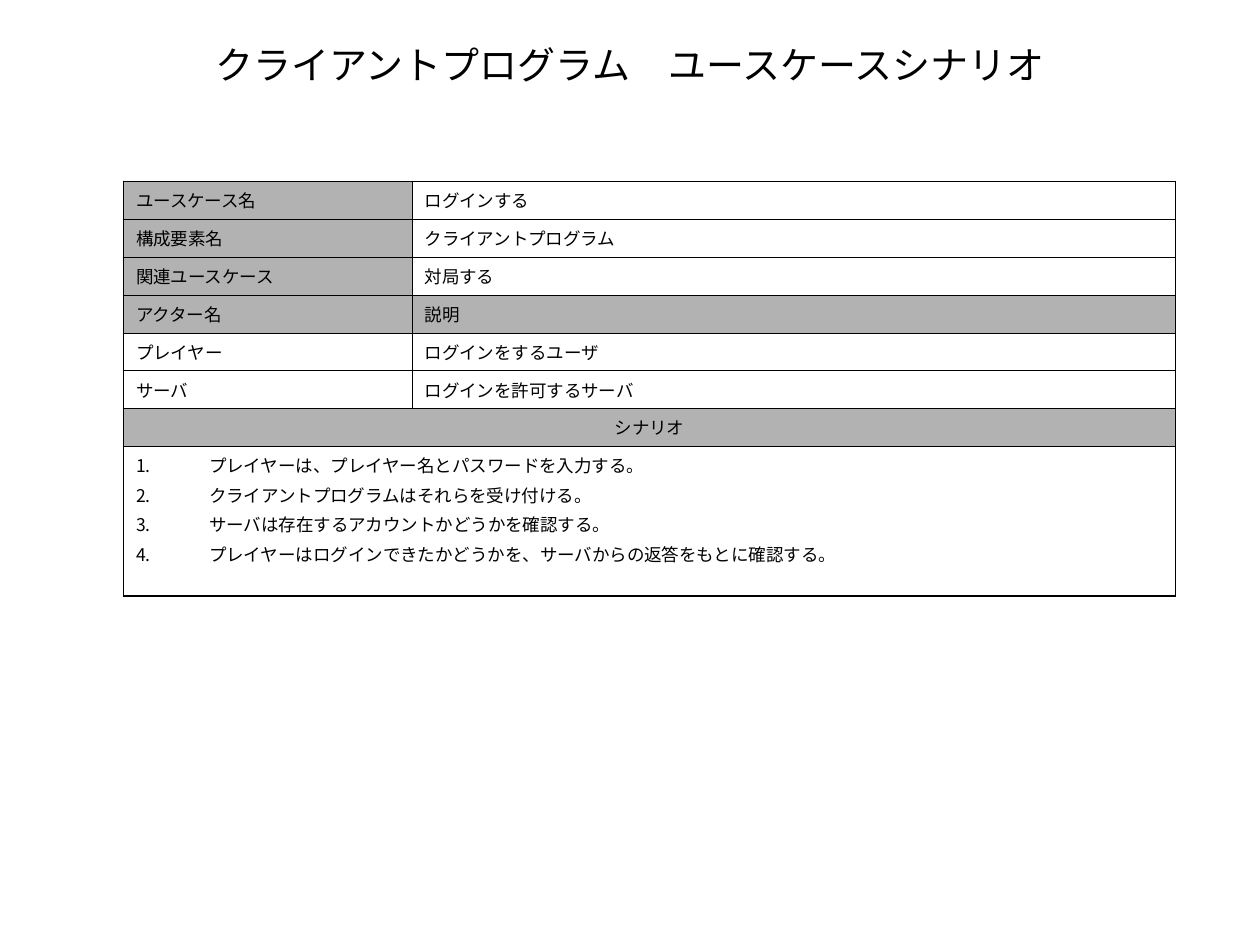
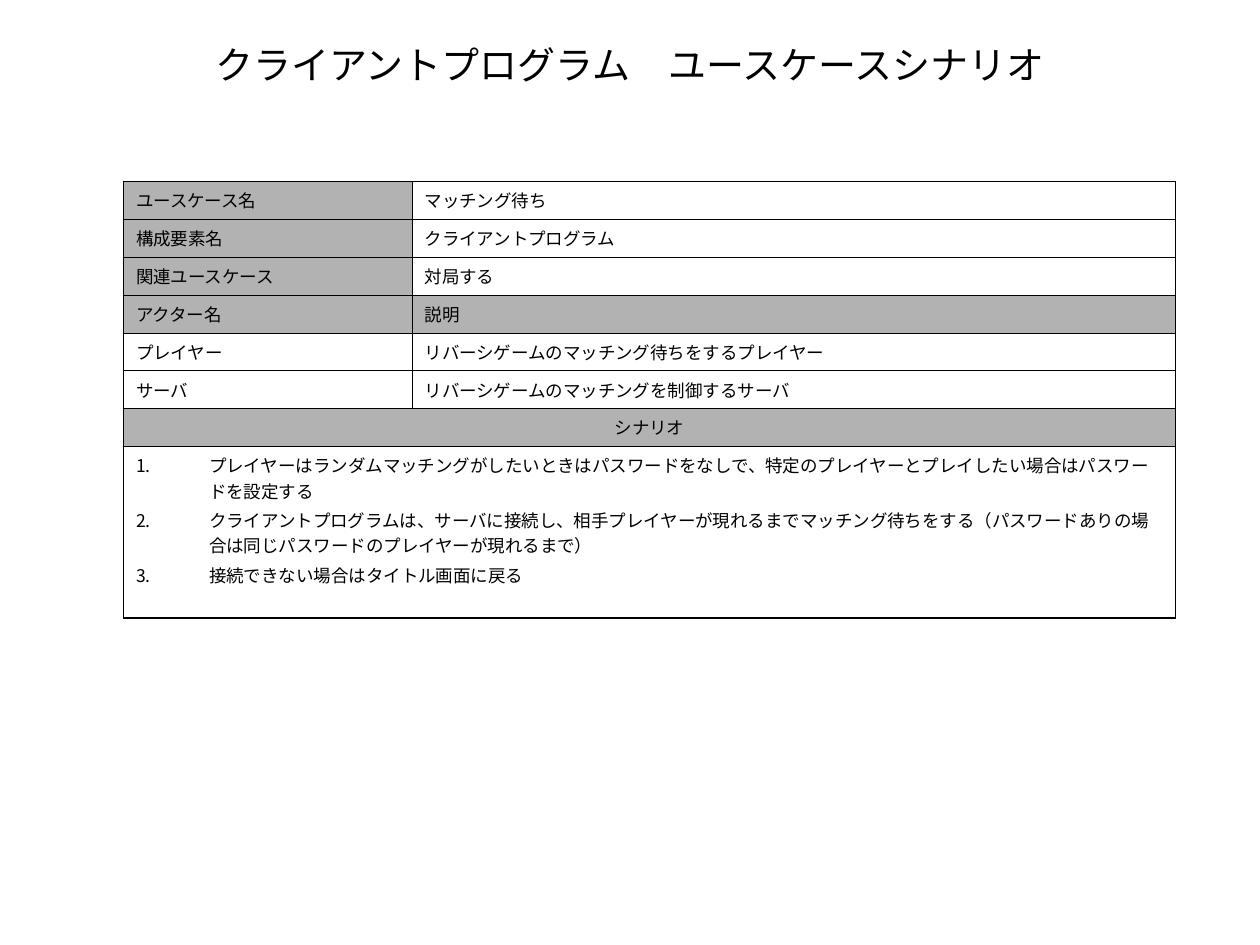
from lxml import etree
from pptx import Presentation
from pptx import util as u
from pptx.dml.color import RGBColor
from pptx.enum import lang, text
from pptx.oxml import ns

BLACK = RGBColor(0x00, 0x00, 0x00)
GRAY = RGBColor(0xB2, 0xB2, 0xB2)
FONT = "Times New Roman"
THICK, THIN = u.Pt(1.08), u.Pt(0.45)
ROW_HEIGHT = 0.3
TITLE = "クライアントプログラム　ユースケースシナリオ"

USE_CASES = [
    {
        "name": "ログインする",
        "player": "ログインをするユーザ",
        "server": "ログインを許可するサーバ",
        "steps_height": 1.19,
        "steps": [
            "プレイヤーは、プレイヤー名とパスワードを入力する。",
            "クライアントプログラムはそれらを受け付ける。",
            "サーバは存在するアカウントかどうかを確認する。",
            "プレイヤーはログインできたかどうかを、サーバからの返答をもとに確認する。",
        ],
    },
    {
        "name": "マッチング待ち",
        "player": "リバーシゲームのマッチング待ちをするプレイヤー",
        "server": "リバーシゲームのマッチングを制御するサーバ",
        "steps_height": 1.36,
        "steps": [
            "プレイヤーはランダムマッチングがしたいときはパスワードをなしで、"
            "特定のプレイヤーとプレイしたい場合はパスワードを設定する",
            "クライアントプログラムは、サーバに接続し、相手プレイヤーが現れるまで"
            "マッチング待ちをする（パスワードありの場合は同じパスワードのプレイヤーが現れるまで）",
            "接続できない場合はタイトル画面に戻る",
        ],
    },
]


class Deck:
    def __init__(self):
        self.prs = Presentation()
        self.prs.slide_width = u.Inches(10)
        self.prs.slide_height = u.Inches(7.5)
        self.s = None

    def slide(self, title):
        self.s = self.prs.slides.add_slide(self.prs.slide_layouts[5])
        sp = self.s.shapes.title
        sp.left, sp.top = u.Inches(0.75), u.Inches(0.27)
        sp.width, sp.height = u.Inches(8.5), u.Inches(0.48)
        tf = sp.text_frame
        tf.auto_size = text.MSO_AUTO_SIZE.NONE
        tf.vertical_anchor = text.MSO_ANCHOR.MIDDLE
        p = tf.paragraphs[0]
        p.alignment = text.PP_ALIGN.CENTER
        self.run(p, title, 21.7)

    def run(self, p, words, size=10):
        r = p.add_run()
        r.text = words
        r.font.name = FONT
        r.font.size = u.Pt(size)
        r.font.color.rgb = BLACK
        r.font.language_id = lang.MSO_LANGUAGE_ID.JAPANESE

    def number(self, p):
        pPr = p._p.get_or_add_pPr()
        pPr.set("marL", str(u.Inches(0.58)))
        pPr.set("indent", str(-u.Inches(0.58)))
        etree.SubElement(pPr, ns.qn("a:buAutoNum"), type="arabicPeriod")

    def borders(self, cell, **widths):
        tcPr = cell._tc.get_or_add_tcPr()
        for i, side in enumerate("LRTB"):
            ln = etree.Element(ns.qn("a:ln" + side), w=str(widths.get(side, THIN)))
            fill = etree.SubElement(ln, ns.qn("a:solidFill"))
            etree.SubElement(fill, ns.qn("a:srgbClr"), val=str(BLACK))
            tcPr.insert(i, ln)

    def cell(self, cell, lines, shaded=False, centered=False, numbered=False):
        if shaded:
            cell.fill.solid()
            cell.fill.fore_color.rgb = GRAY
        else:
            cell.fill.background()
        tf = cell.text_frame
        for i, line in enumerate(lines):
            p = tf.add_paragraph() if i else tf.paragraphs[0]
            if numbered:
                self.number(p)
            if i:
                p.space_before = u.Pt(2.5)
            if centered:
                p.alignment = text.PP_ALIGN.CENTER
            self.run(p, line)

    def scenario_table(self, case):
        pairs = [
            ("ユースケース名", case["name"], True, False),
            ("構成要素名", "クライアントプログラム", True, False),
            ("関連ユースケース", "対局する", True, False),
            ("アクター名", "説明", True, True),
            ("プレイヤー", case["player"], False, False),
            ("サーバ", case["server"], False, False),
        ]
        heading, steps = len(pairs), len(pairs) + 1
        heights = [ROW_HEIGHT] * steps + [case["steps_height"]]
        tbl = self.s.shapes.add_table(
            len(heights), 2, u.Inches(0.98), u.Inches(1.44),
            u.Inches(8.35), u.Inches(sum(heights))).table
        tbl.first_row = tbl.horz_banding = False
        for col, width in zip(tbl.columns, (2.29, 6.06)):
            col.width = u.Inches(width)
        for row, height in zip(tbl.rows, heights):
            row.height = u.Inches(height)

        for i, (label, value, label_shaded, value_shaded) in enumerate(pairs):
            self.cell(tbl.cell(i, 0), [label], label_shaded)
            self.cell(tbl.cell(i, 1), [value], value_shaded)
        for i in (heading, steps):
            tbl.cell(i, 0).merge(tbl.cell(i, 1))
        self.cell(tbl.cell(heading, 0), ["シナリオ"], shaded=True, centered=True)
        self.cell(tbl.cell(steps, 0), case["steps"], numbered=True)

        for i in range(len(heights)):
            for j in range(2):
                self.borders(
                    tbl.cell(i, j),
                    L=THIN if j else THICK,
                    R=THICK if j or i >= heading else THIN,
                    T=THIN if i else THICK,
                    B=THICK if i == steps else THIN)


def main():
    deck = Deck()
    for case in USE_CASES:
        deck.slide(TITLE)
        deck.scenario_table(case)
    deck.prs.save("out.pptx")


if __name__ == "__main__":
    main()
